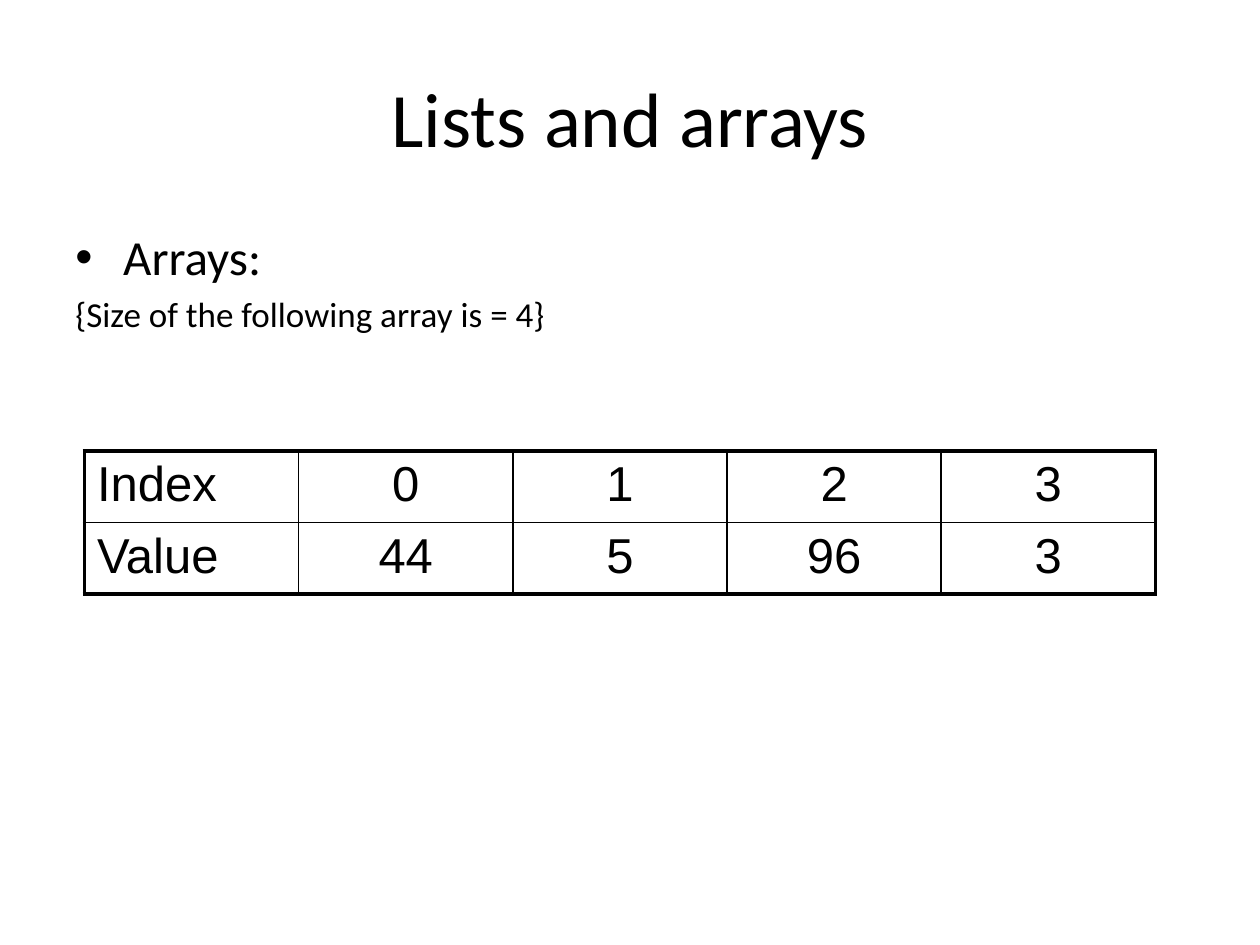
from dataclasses import dataclass

from lxml import etree
from pptx import Presentation
from pptx.dml.color import RGBColor
from pptx.enum import text
from pptx.oxml.ns import qn
from pptx.util import Inches, Pt


@dataclass(frozen=True)
class Theme:
    ink: RGBColor = RGBColor(0, 0, 0)
    body_font: str = "Calibri"
    table_font: str = "Arial"
    title_size: int = 44
    text_size: int = 28
    note_size: int = 20
    thin: float = 1
    thick: float = 2.25


THEME = Theme()
ROWS = [["Index", "0", "1", "2", "3"], ["Value", "44", "5", "96", "3"]]


def set_values(target, values):
    for name, value in values.items():
        setattr(target, name, value)


def write(para, words, size, font, **layout):
    set_values(para, layout)
    span = para.add_run()
    span.text = words
    set_values(span.font, {"size": Pt(size), "name": font})
    span.font.color.rgb = THEME.ink


def add_box(page, left, top, width, height, anchor):
    box = page.shapes.add_textbox(*map(Inches, (left, top, width, height)))
    set_values(box.text_frame, {"word_wrap": True, "vertical_anchor": anchor})
    return box.text_frame


def hang(para, bullet=None):
    """Give the paragraph a hanging indent and, if asked, a bullet."""
    props = para._p.get_or_add_pPr()
    props.set("marL", str(Inches(0.38)))
    props.set("indent", str(-Inches(0.38)))
    if bullet:
        etree.SubElement(props, qn("a:buFont")).set("typeface", "Arial")
        etree.SubElement(props, qn("a:buChar")).set("char", bullet)
    else:
        etree.SubElement(props, qn("a:buNone"))


def set_borders(cell, widths):
    """Draw left, right, top and bottom lines; call before setting the fill."""
    props = cell._tc.get_or_add_tcPr()
    for side, width in zip("LRTB", widths):
        line = etree.SubElement(props, qn(f"a:ln{side}"), w=str(Pt(width)))
        fill = etree.SubElement(line, qn("a:solidFill"))
        etree.SubElement(fill, qn("a:srgbClr"), val=str(THEME.ink))


def add_array_table(page, rows, left, top, column_width, row_height):
    last_row, last_column = len(rows) - 1, len(rows[0]) - 1
    table = page.shapes.add_table(
        len(rows), len(rows[0]), Inches(left), Inches(top),
        Inches(column_width * len(rows[0])), Inches(row_height * len(rows))).table
    set_values(table, {"first_row": False, "horz_banding": False})
    for r, row in enumerate(rows):
        for c, words in enumerate(row):
            cell = table.cell(r, c)
            outer = (c == 0, c == last_column, r == 0, r == last_row)
            set_borders(cell, [THEME.thick if edge else THEME.thin for edge in outer])
            cell.fill.background()
            align = text.PP_ALIGN.CENTER if c else text.PP_ALIGN.LEFT
            write(cell.text_frame.paragraphs[0], words, THEME.text_size,
                  THEME.table_font, alignment=align)


def main():
    deck = Presentation()
    set_values(deck, {"slide_width": Inches(10), "slide_height": Inches(7.5)})
    page = deck.slides.add_slide(deck.slide_layouts[6])

    title = add_box(page, 0.5, 0.3, 9, 1.25, text.MSO_ANCHOR.MIDDLE)
    write(title.paragraphs[0], "Lists and arrays", THEME.title_size,
          THEME.body_font, alignment=text.PP_ALIGN.CENTER)

    body = add_box(page, 0.5, 1.75, 9, 1.58, text.MSO_ANCHOR.TOP)
    heading, note = body.paragraphs[0], body.add_paragraph()
    hang(heading, "•")
    write(heading, "Arrays:", THEME.text_size, THEME.body_font)
    hang(note)
    write(note, "{Size of the following array is = 4}", THEME.note_size,
          THEME.body_font, space_before=Pt(4))

    add_array_table(page, ROWS, left=0.67, top=3.58, column_width=1.7, row_height=0.53)
    deck.save("out.pptx")


if __name__ == "__main__":
    main()
